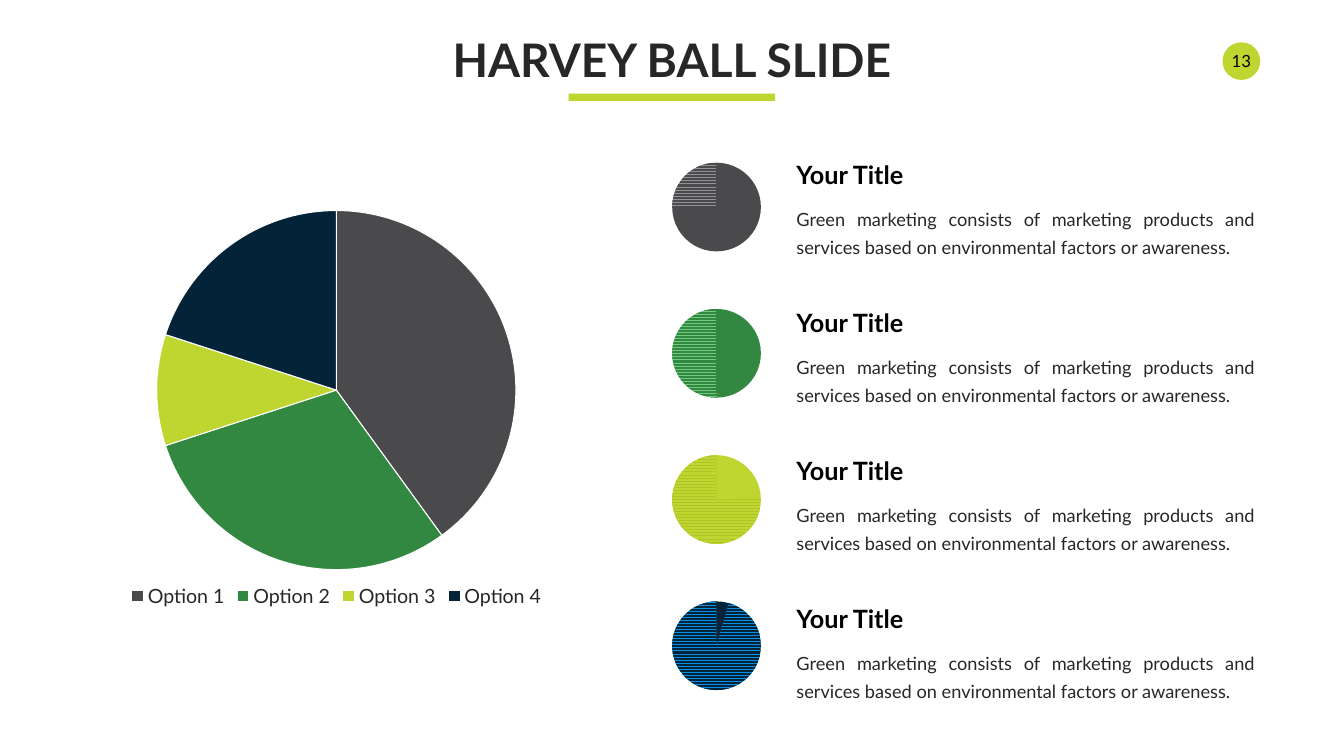
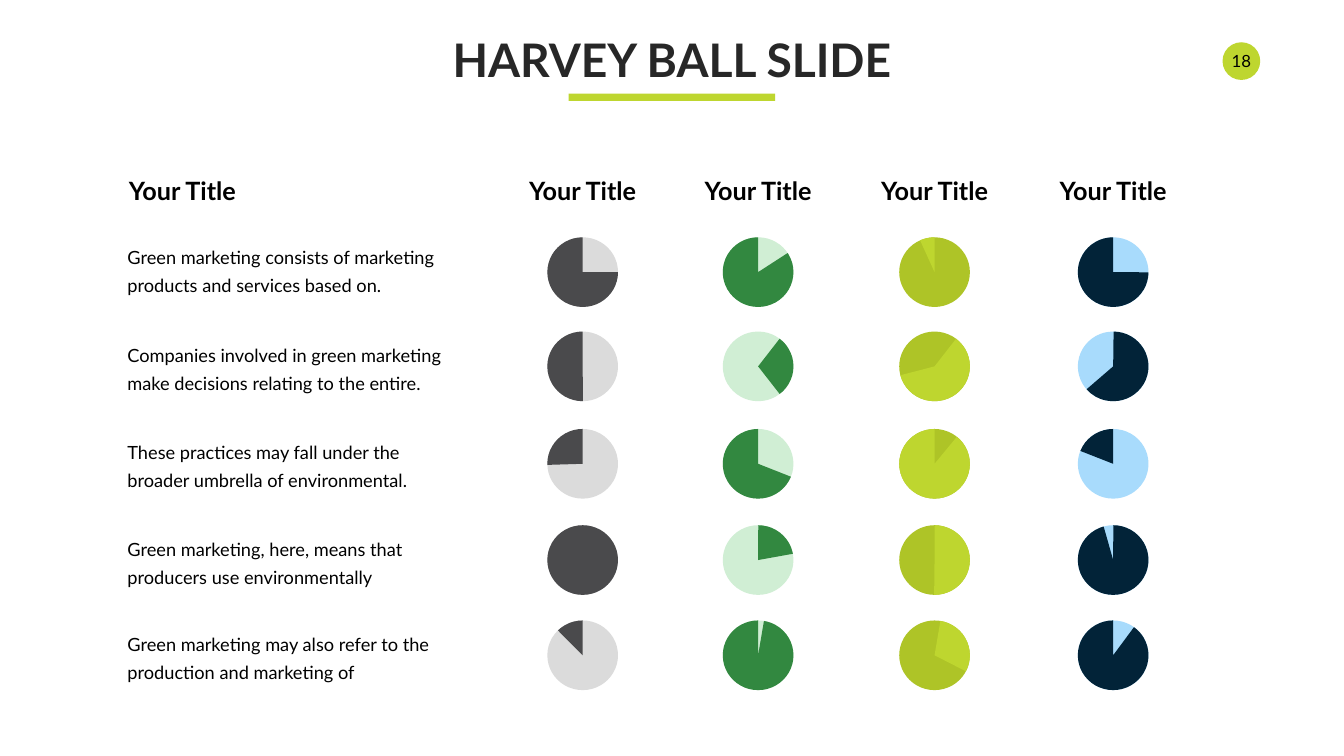
from dataclasses import dataclass

from pptx import Presentation
from pptx.chart.data import CategoryChartData
from pptx.dml.color import RGBColor
from pptx.enum.chart import XL_CHART_TYPE, XL_LEGEND_POSITION
from pptx.enum.dml import MSO_PATTERN
from pptx.enum.shapes import MSO_SHAPE
from pptx.enum.text import MSO_ANCHOR, MSO_AUTO_SIZE, PP_ALIGN
from pptx.shapes.autoshape import Shape
from pptx.slide import Slide
from pptx.text.text import Font
from pptx.util import Cm, Pt

COLORS = {
    "white": "FFFFFF",
    "black": "000000",
    "ink": "272727",
    "gray": "4A4A4C",
    "gray_stripe": "929294",
    "gray_pale": "DBDBDB",
    "green": "328840",
    "green_stripe": "71CB7F",
    "green_pale": "D0EED4",
    "lime": "BED62F",
    "lime_dark": "AEC427",
    "navy": "022338",
    "navy_stripe": "0890E7",
    "navy_pale": "A8DBFC",
}
FONT_NAME = "Lato"
SLIDE_WIDTH, SLIDE_HEIGHT = 67.72, 38.1
HEADING_WIDTH, HEADING_HEIGHT = 6.1, 1.8
BODY_HEIGHT = 2.97
TOP_ANGLE = 270


@dataclass(frozen=True)
class Box:
    left: float
    top: float
    width: float
    height: float

    def lengths(self) -> tuple[Cm, Cm, Cm, Cm]:
        return Cm(self.left), Cm(self.top), Cm(self.width), Cm(self.height)


@dataclass(frozen=True)
class TextStyle:
    size: int
    color: str = "black"
    bold: bool = False
    align: PP_ALIGN | None = None
    line_spacing: int | None = None
    anchor: MSO_ANCHOR = MSO_ANCHOR.TOP
    wrap: bool = True


@dataclass(frozen=True)
class Wedge:
    start: float
    end: float = TOP_ANGLE


@dataclass(frozen=True)
class Option:
    name: str
    share: int
    color: str
    stripe: str
    wedge_start: float


@dataclass(frozen=True)
class BallColumn:
    left: float
    base: str
    color: str
    wedges: tuple[Wedge, ...]


@dataclass(frozen=True)
class BallRow:
    ball_top: float
    text_top: float
    text: str


TITLE = TextStyle(66, "ink", bold=True, align=PP_ALIGN.CENTER, wrap=False)
BADGE = TextStyle(24, align=PP_ALIGN.CENTER, anchor=MSO_ANCHOR.MIDDLE)
HEADING = TextStyle(36, bold=True, wrap=False)
COLUMN_HEADING = TextStyle(36, bold=True, align=PP_ALIGN.CENTER, wrap=False)
OPTION_BODY = TextStyle(26, "ink", align=PP_ALIGN.JUSTIFY, line_spacing=40)
ROW_BODY = TextStyle(26, line_spacing=40, anchor=MSO_ANCHOR.MIDDLE)

OPTION_TEXT = (
    "Green marketing consists of marketing products and services "
    "based on environmental factors or awareness."
)
OPTIONS = (
    Option("Option 1", 40, "gray", "gray_stripe", 180.37),
    Option("Option 2", 30, "green", "green_stripe", 89.69),
    Option("Option 3", 10, "lime", "lime_dark", 359.09),
    Option("Option 4", 20, "navy", "navy_stripe", 286.08),
)
BALL_ROWS = (
    BallRow(11.96, 12.04, "Green marketing consists of marketing products and services based on."),
    BallRow(16.71, 16.97, "Companies involved in green marketing make decisions relating to the entire."),
    BallRow(21.62, 21.87, "These practices may fall under the broader umbrella of environmental."),
    BallRow(26.47, 26.72, "Green marketing, here, means that producers use environmentally"),
    BallRow(31.27, 31.52, "Green marketing may also refer to the production and marketing of"),
)
BALL_COLUMNS = (
    BallColumn(27.58, "gray_pale", "gray", (
        Wedge(0), Wedge(89.55), Wedge(178.2), Wedge(270.28, 270.17), Wedge(225.14))),
    BallColumn(36.42, "green_pale", "green", (
        Wedge(327.12), Wedge(307.88, 52.02), Wedge(21.51), Wedge(270.28, 349.81), Wedge(279.64))),
    BallColumn(45.31, "lime_dark", "lime", (
        Wedge(245.57), Wedge(307.88, 165.42), Wedge(309.58), Wedge(270.28, 90.62), Wedge(279.64, 27.11))),
    BallColumn(54.31, "navy_pale", "navy", (
        Wedge(0.31), Wedge(270.73, 139.24), Wedge(201.42), Wedge(270.28, 254.15), Wedge(306.52))),
)


def rgb(color: str) -> RGBColor:
    return RGBColor.from_string(COLORS[color])


def style_font(font: Font, size: int, color: str, bold: bool = False) -> None:
    font.name = FONT_NAME
    font.size = Pt(size)
    font.bold = bold
    font.color.rgb = rgb(color)


def write_text(shape: Shape, text: str, style: TextStyle) -> None:
    frame = shape.text_frame
    frame.word_wrap = style.wrap
    frame.vertical_anchor = style.anchor
    paragraph = frame.paragraphs[0]
    paragraph.alignment = style.align
    if style.line_spacing:
        paragraph.line_spacing = Pt(style.line_spacing)
    run = paragraph.add_run()
    run.text = text
    style_font(run.font, style.size, style.color, style.bold)


def add_text(slide: Slide, box: Box, text: str, style: TextStyle) -> None:
    shape = slide.shapes.add_textbox(*box.lengths())
    write_text(shape, text, style)
    shape.text_frame.auto_size = MSO_AUTO_SIZE.SHAPE_TO_FIT_TEXT


def add_filled(slide: Slide, kind: MSO_SHAPE, box: Box, color: str) -> Shape:
    shape = slide.shapes.add_shape(kind, *box.lengths())
    shape.shadow.inherit = False
    shape.fill.solid()
    shape.fill.fore_color.rgb = rgb(color)
    shape.line.fill.background()
    return shape


def add_ball(slide: Slide, box: Box, base: str, color: str, wedge: Wedge) -> Shape:
    add_filled(slide, MSO_SHAPE.OVAL, box, base)
    pie = add_filled(slide, MSO_SHAPE.PIE, box, color)
    for index, angle in enumerate((wedge.start, wedge.end)):
        pie.adjustments[index] = angle * 0.6
    return pie


def add_frame(slide: Slide, page: int, title_width: float) -> None:
    badge = add_filled(slide, MSO_SHAPE.OVAL, Box(61.6, 2.13, 1.9, 1.9), "lime")
    frame = badge.text_frame
    frame.margin_left = frame.margin_right = frame.margin_top = frame.margin_bottom = Cm(0.13)
    write_text(badge, str(page), BADGE)
    title_left = (SLIDE_WIDTH - title_width) / 2
    add_text(slide, Box(title_left, 1.45, title_width, 3.07), "HARVEY BALL SLIDE", TITLE)
    add_filled(slide, MSO_SHAPE.RECTANGLE, Box(28.65, 4.72, 10.41, 0.36), "lime")


def add_option_chart(slide: Slide) -> None:
    data = CategoryChartData()
    data.categories = [option.name for option in OPTIONS]
    data.add_series("Series 1", [option.share for option in OPTIONS])
    box = Box(3.94, 10.26, 26.01, 20.57)
    chart = slide.shapes.add_chart(XL_CHART_TYPE.PIE, *box.lengths(), data).chart
    chart.has_title = False
    style_font(chart.font, 28, "ink")
    chart.has_legend = True
    chart.legend.position = XL_LEGEND_POSITION.BOTTOM
    chart.legend.include_in_layout = False
    style_font(chart.legend.font, 28, "ink")
    plot = chart.plots[0]
    plot.vary_by_categories = True
    for index, option in enumerate(OPTIONS):
        point_format = plot.series[0].points[index].format
        point_format.fill.solid()
        point_format.fill.fore_color.rgb = rgb(option.color)
        point_format.line.color.rgb = rgb("white")
        point_format.line.width = Pt(1.5)


def add_option(slide: Slide, index: int, option: Option) -> None:
    text_left, text_step = 39.88, 7.46
    add_text(slide, Box(text_left, 7.9 + index * text_step, HEADING_WIDTH, HEADING_HEIGHT), "Your Title", HEADING)
    add_text(slide, Box(text_left, 10.06 + index * text_step, 23.62, BODY_HEIGHT), OPTION_TEXT, OPTION_BODY)
    ball = Box(33.87, 8.2 + index * 7.37, 4.47, 4.47)
    pie = add_ball(slide, ball, option.color, option.color, Wedge(option.wedge_start, 269.56))
    pie.fill.patterned()
    pie.fill.pattern = MSO_PATTERN.ZIG_ZAG
    pie.fill.fore_color.rgb = rgb(option.color)
    pie.fill.back_color.rgb = rgb(option.stripe)


def build_option_slide(slide: Slide) -> None:
    add_frame(slide, 13, 22.63)
    add_option_chart(slide)
    for index, option in enumerate(OPTIONS):
        add_option(slide, index, option)


def build_matrix_slide(slide: Slide) -> None:
    add_frame(slide, 18, 23.22)
    heading_top, ball_width, ball_height = 8.71, 3.56, 3.51
    add_text(slide, Box(6.25, heading_top, HEADING_WIDTH, HEADING_HEIGHT), "Your Title", HEADING)
    for row in BALL_ROWS:
        add_text(slide, Box(6.17, row.text_top, 16.46, BODY_HEIGHT), row.text, ROW_BODY)
    for column in BALL_COLUMNS:
        heading_left = column.left + (ball_width - HEADING_WIDTH) / 2
        heading = Box(heading_left, heading_top, HEADING_WIDTH, HEADING_HEIGHT)
        add_text(slide, heading, "Your Title", COLUMN_HEADING)
        for row, wedge in zip(BALL_ROWS, column.wedges):
            ball = Box(column.left, row.ball_top, ball_width, ball_height)
            add_ball(slide, ball, column.base, column.color, wedge)


def main() -> None:
    presentation = Presentation()
    presentation.slide_width = Cm(SLIDE_WIDTH)
    presentation.slide_height = Cm(SLIDE_HEIGHT)
    blank_layout = presentation.slide_layouts[6]
    for build in (build_option_slide, build_matrix_slide):
        build(presentation.slides.add_slide(blank_layout))
    presentation.save("out.pptx")


if __name__ == "__main__":
    main()
